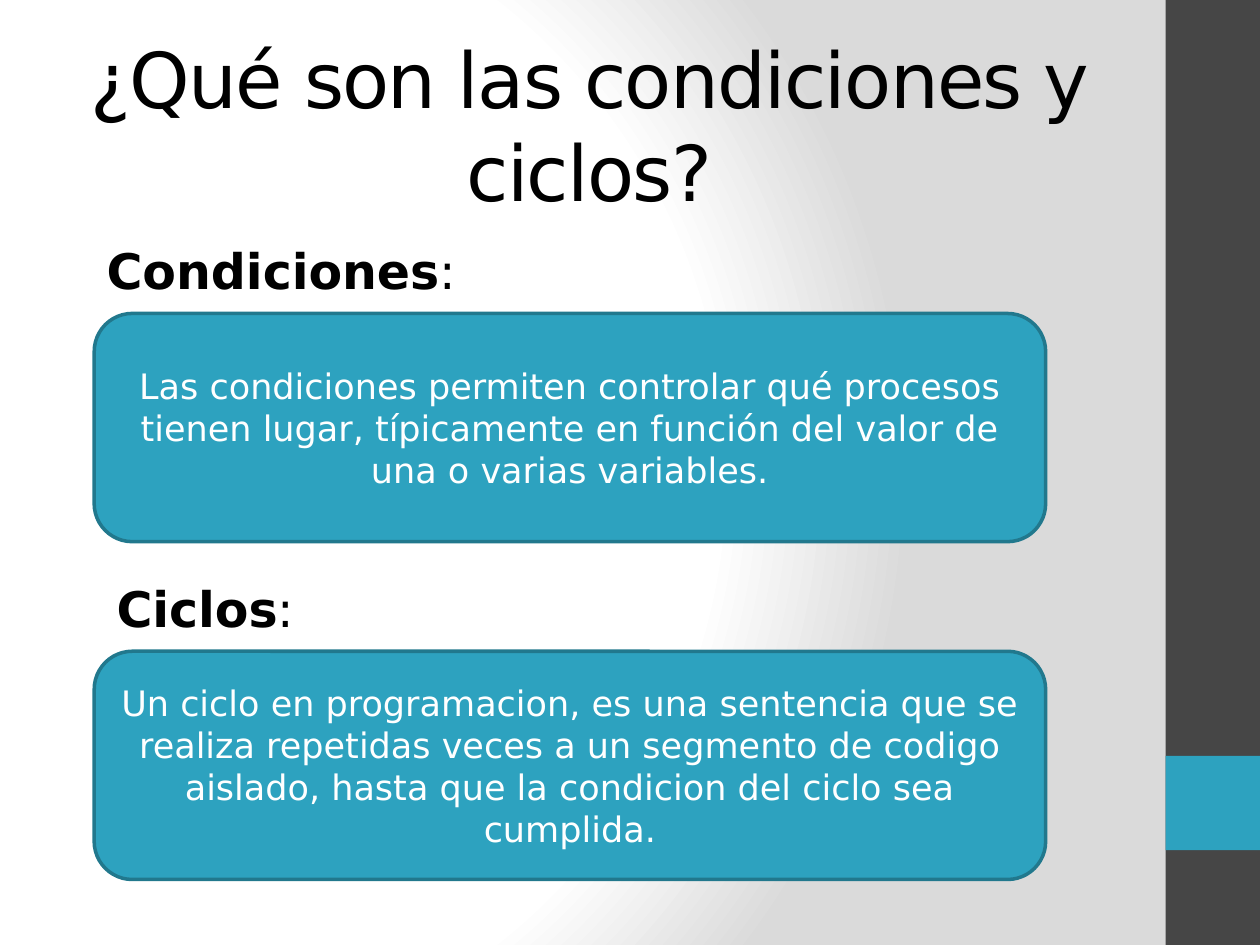
import pptx
import pptx.util
import pptx.oxml
import pptx.oxml.ns
from pptx.dml.color import RGBColor
from pptx.enum.shapes import MSO_SHAPE
from pptx.enum.text import MSO_ANCHOR, MSO_AUTO_SIZE, PP_ALIGN
from pptx.util import Cm

FONT = "DejaVu Sans"
BLACK = RGBColor(0x00, 0x00, 0x00)
WHITE = RGBColor(0xFF, 0xFF, 0xFF)
CHARCOAL = RGBColor(0x46, 0x46, 0x46)
TEAL = RGBColor(0x2D, 0xA2, 0xBF)
DARK_TEAL = RGBColor(0x21, 0x78, 0x8D)
GRAY = RGBColor(0xDA, 0xDA, 0xDA)

SECTIONS = [
    ("Condiciones", 1.9, 4.72,
     "Las condiciones permiten controlar qué procesos tienen lugar, "
     "típicamente en función del valor de una o varias variables."),
    ("Ciclos", 2.1, 11.53,
     "Un ciclo en programacion, es una sentencia que se realiza repetidas veces "
     "a un segmento de codigo aislado, hasta que la condicion del ciclo sea cumplida."),
]


def set_background(slide):
    fill = slide.background.fill
    fill.gradient()
    gradient = slide.element.find(".//" + pptx.oxml.ns.qn("a:gradFill"))
    stops = "".join(
        f'<a:gs pos="{position * 1000}"><a:srgbClr val="{color}"/></a:gs>'
        for position, color in [(0, WHITE), (75, WHITE), (100, GRAY)]
    )
    radial = pptx.oxml.parse_xml(
        f'<a:gradFill {pptx.oxml.ns.nsdecls("a")} rotWithShape="1">'
        f"<a:gsLst>{stops}</a:gsLst>"
        '<a:path path="circle">'
        '<a:fillToRect l="20000" t="50000" r="100000" b="50000"/>'
        "</a:path></a:gradFill>"
    )
    gradient.getparent().replace(gradient, radial)


def set_font(paragraph, size, color):
    paragraph.font.name = FONT
    paragraph.font.size = pptx.util.Pt(size)
    paragraph.font.color.rgb = color


def add_block(slide, kind, left, top, width, height, color):
    shape = slide.shapes.add_shape(kind, Cm(left), Cm(top), Cm(width), Cm(height))
    shape.shadow.inherit = False
    shape.fill.solid()
    shape.fill.fore_color.rgb = color
    shape.line.fill.background()
    return shape


def add_title(slide, text):
    title = slide.shapes.title
    title.left, title.top, title.width, title.height = Cm(1.3), Cm(0.91), Cm(21.16), Cm(3.18)
    frame = title.text_frame
    frame.text = text
    frame.auto_size = MSO_AUTO_SIZE.NONE
    frame.vertical_anchor = MSO_ANCHOR.MIDDLE
    paragraph = frame.paragraphs[0]
    paragraph.alignment = PP_ALIGN.CENTER
    set_font(paragraph, 44, BLACK)
    paragraph.runs[0].font._element.set("spc", "-100")


def add_heading(slide, text, left, top):
    box = slide.shapes.add_textbox(Cm(left), Cm(top), Cm(10.8), Cm(1.45))
    frame = box.text_frame
    frame.word_wrap = True
    frame.auto_size = MSO_AUTO_SIZE.SHAPE_TO_FIT_TEXT
    paragraph = frame.paragraphs[0]
    set_font(paragraph, 28, BLACK)
    for content, bold in [(text, True), (":", False)]:
        run = paragraph.add_run()
        run.text = content
        run.font.bold = bold


def add_card(slide, text, top):
    card = add_block(slide, MSO_SHAPE.ROUNDED_RECTANGLE, 1.9, top + 1.6, 19.18, 4.6, TEAL)
    card.line.color.rgb = DARK_TEAL
    card.line.width = pptx.util.Pt(2)
    frame = card.text_frame
    frame.word_wrap = True
    frame.vertical_anchor = MSO_ANCHOR.MIDDLE
    frame.text = text
    paragraph = frame.paragraphs[0]
    paragraph.alignment = PP_ALIGN.CENTER
    set_font(paragraph, 20, WHITE)


def main():
    presentation = pptx.Presentation()
    presentation.slide_width = Cm(25.4)
    presentation.slide_height = Cm(19.05)
    slide = presentation.slides.add_slide(presentation.slide_layouts[5])
    set_background(slide)
    add_block(slide, MSO_SHAPE.RECTANGLE, 23.5, 0, 1.9, 19.05, CHARCOAL)
    add_block(slide, MSO_SHAPE.RECTANGLE, 23.5, 15.24, 1.9, 1.9, TEAL)
    add_title(slide, "¿Qué son las condiciones y ciclos?")
    for heading, left, top, text in SECTIONS:
        add_heading(slide, heading, left, top)
        add_card(slide, text, top)
    presentation.save("out.pptx")


if __name__ == "__main__":
    main()
